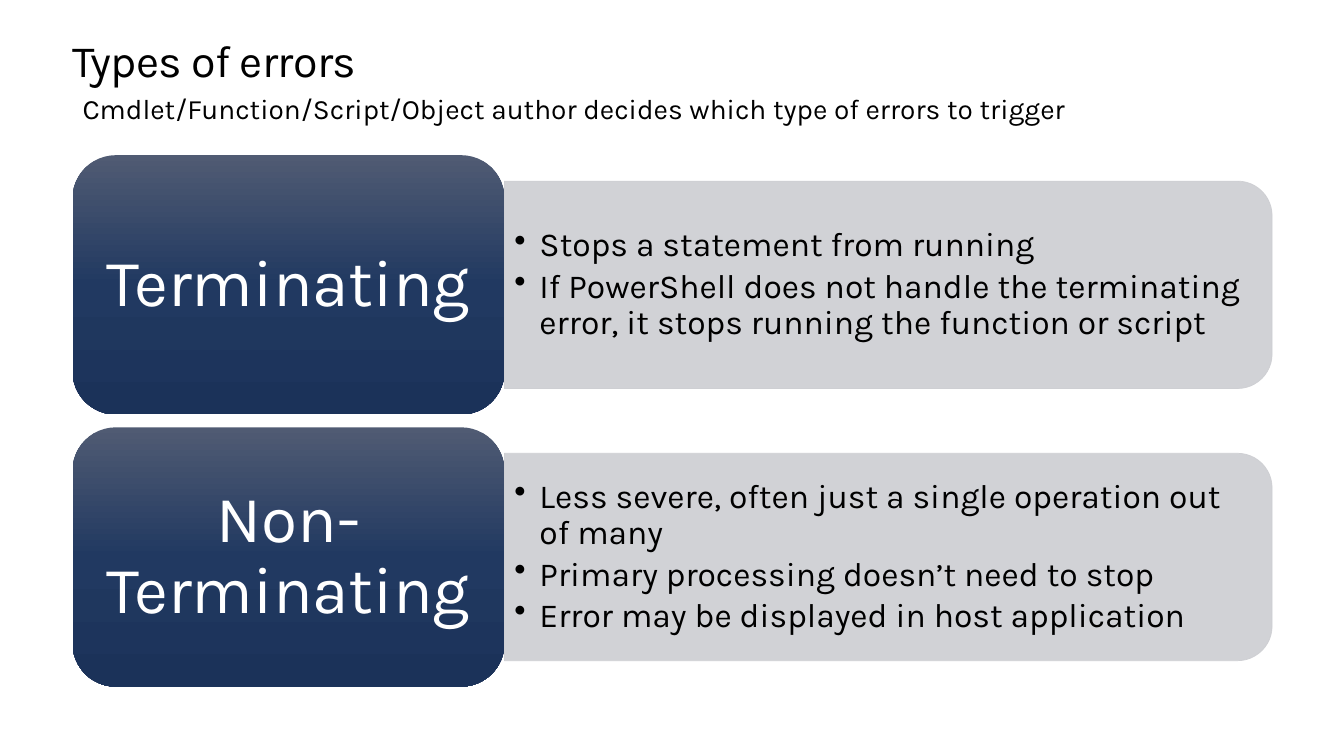
from copy import deepcopy

from lxml import etree
from pptx import Presentation
from pptx import util as u
from pptx.dml.color import RGBColor
from pptx.enum import shapes, text
from pptx.oxml import ns

WIDTH, HEIGHT = 13.333, 7.5
LEFT, SPAN = 5.4, 89.25  # percent of the slide's width
LABEL = 0.36 * SPAN
TOP, PITCH, TALL = 20.53, 36, 34.3  # percent of the slide's height
PANEL = 0.8 * TALL

ERRORS = [
    ("Terminating", [
        "Stops a statement from running",
        "If PowerShell does not handle the terminating error, "
        "it stops running the function or script",
    ]),
    ("Non-Terminating", [
        "Less severe, often just a single operation out of many",
        "Primary processing doesn’t need to stop",
        "Error may be displayed in host application",
    ]),
]


def paint(code):
    return RGBColor.from_string(code)


def write(frame, lines, size=24, color="000000", align="LEFT", anchor="TOP",
          inset=(0.1, 0.05), lead=None, after=0, bullet=False, track=0):
    """Fill a text frame, one paragraph to a line; inset is sides, then top and bottom."""
    frame.word_wrap = True
    frame.vertical_anchor = getattr(text.MSO_ANCHOR, anchor)
    frame.margin_left = frame.margin_right = u.Inches(inset[0])
    frame.margin_top = frame.margin_bottom = u.Inches(inset[1])
    for i, line in enumerate(lines):
        para = frame.add_paragraph() if i else frame.paragraphs[0]
        para.alignment = getattr(text.PP_ALIGN, align)
        para.line_spacing = lead
        para.space_before = u.Pt(0)
        para.space_after = u.Pt(after)
        run = para.add_run()
        run.text = line
        run.font.size = u.Pt(size)
        run.font.name = "Karla"
        run.font.color.rgb = paint(color)
        if track:
            run.font._element.set("spc", str(track))
        if bullet:
            props = para._p.get_or_add_pPr()
            props.set("marL", str(u.Inches(0.25)))
            props.set("indent", str(-u.Inches(0.25)))
            etree.SubElement(props, ns.qn("a:buChar"), char="•")


class Deck:
    def __init__(self):
        self.show = Presentation()
        self.show.slide_width = u.Inches(WIDTH)
        self.show.slide_height = u.Inches(HEIGHT)
        self.slide = self.show.slides.add_slide(self.show.slide_layouts[6])
        self.fade = ["505B73", "213961", "1B3259"]
        self.gray = "CDCED2"

    def place(self, x, y, w, h):
        """Turn percents of the slide into lengths."""
        return [u.Inches(share * full / 100) for share, full in
                zip((x, y, w, h), (WIDTH, HEIGHT, WIDTH, HEIGHT))]

    def note(self, box, lines, **form):
        area = self.slide.shapes.add_textbox(*self.place(*box))
        write(area.text_frame, lines, **form)

    def panel(self, box):
        """Draw a gray panel whose right corners are round."""
        x, y, w, h = self.place(*box)
        shift = (w - h) // 2
        shape = self.slide.shapes.add_shape(
            shapes.MSO_SHAPE.ROUND_2_SAME_RECTANGLE, x + shift, y - shift, h, w)
        shape.rotation = 90
        shape.shadow.inherit = False
        shape.fill.solid()
        shape.fill.fore_color.rgb = paint(self.gray)
        shape.line.color.rgb = paint(self.gray)
        shape.line.width = u.Pt(0.5)
        for tint in shape._element.spPr.iter(ns.qn("a:srgbClr")):
            etree.SubElement(tint, ns.qn("a:alpha"), val="90000")

    def label(self, box, name):
        """Draw a rounded block with a vertical fade and its name."""
        shape = self.slide.shapes.add_shape(
            shapes.MSO_SHAPE.ROUNDED_RECTANGLE, *self.place(*box))
        shape.shadow.inherit = False
        shape.line.fill.background()
        shape.fill.gradient()
        shape.fill.gradient_angle = 270
        stops = shape._element.spPr.find(".//" + ns.qn("a:gsLst"))
        stops.insert(1, deepcopy(stops[0]))
        for i, stop in enumerate(shape.fill.gradient_stops):
            stop.position = i / 2
            stop.color.rgb = paint(self.fade[i])
        write(shape.text_frame, [name], size=47, color="FFFFFF", align="CENTER",
              anchor="MIDDLE", inset=(0.2, 0.1), lead=0.9, after=16.45)


def main():
    deck = Deck()
    deck.note((LEFT, 4.67, SPAN, 6.67), ["Types of errors"],
              size=32, inset=(0, 0), lead=u.Pt(36.2), track=-50)
    for i, (name, facts) in enumerate(ERRORS):
        y = TOP + i * PITCH
        side = (LEFT + LABEL, y + (TALL - PANEL) / 2, SPAN - LABEL, PANEL)
        deck.panel(side)
        deck.note((*side[:2], side[2] - 0.75, PANEL), facts, anchor="MIDDLE",
                  lead=0.9, after=3.6, bullet=True)
        deck.label((LEFT, y, LABEL, TALL), name)
    deck.note((LEFT, 11.47, SPAN, 6.67),
              ["Cmdlet/Function/Script/Object author decides which type of errors to trigger"],
              size=20, after=6)
    deck.show.save("out.pptx")


if __name__ == "__main__":
    main()
